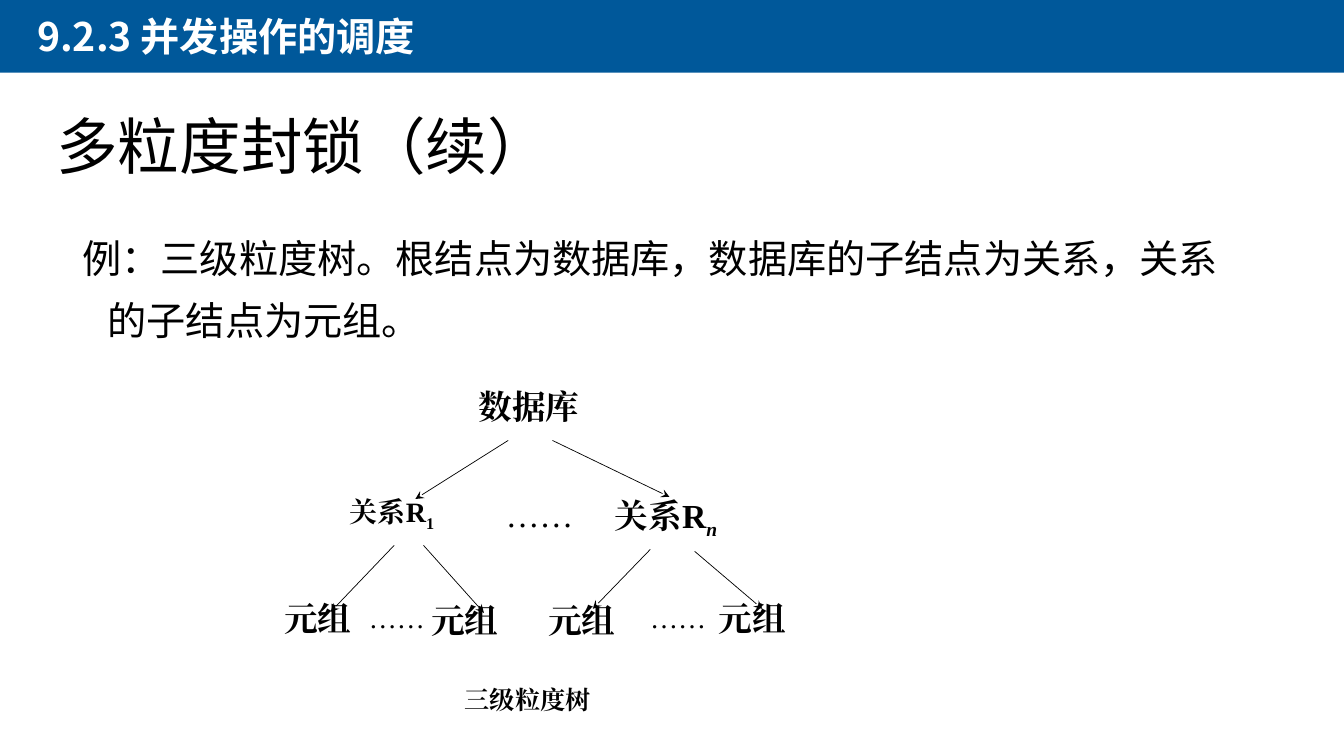
from typing import NamedTuple

from lxml import etree
from pptx import Presentation
from pptx.dml.color import RGBColor
from pptx.enum.shapes import MSO_CONNECTOR, MSO_SHAPE
from pptx.enum.text import MSO_ANCHOR, MSO_AUTO_SIZE, PP_ALIGN
from pptx.oxml.ns import qn
from pptx.slide import Slide
from pptx.util import Inches, Pt

BLUE = RGBColor(0x00, 0x58, 0x9A)
WHITE = RGBColor(0xFF, 0xFF, 0xFF)
BLACK = RGBColor(0x00, 0x00, 0x00)
SANS, BODY, SERIF = "Noto Sans CJK SC", "Calibri", "Times New Roman"
RECT = MSO_SHAPE.RECTANGLE
STRAIGHT = MSO_CONNECTOR.STRAIGHT
TOP, MIDDLE = MSO_ANCHOR.TOP, MSO_ANCHOR.MIDDLE
LEFT, JUSTIFY = PP_ALIGN.LEFT, PP_ALIGN.JUSTIFY
GROW, FIXED = MSO_AUTO_SIZE.SHAPE_TO_FIT_TEXT, MSO_AUTO_SIZE.NONE


class Box(NamedTuple):
    left: float
    top: float
    width: float
    height: float


class Node(NamedTuple):
    text: str
    box: Box
    size: int = 24
    sub: str = ""
    slant: bool = False


class Dots(NamedTuple):
    box: Box
    size: int
    margin: float = 0


class Edge(NamedTuple):
    x1: float
    y1: float
    x2: float
    y2: float


NODES = [
    Node("数据库", Box(4.65, 3.81, 1.44, 0.64)),
    Node("关系R", Box(6, 4.86, 1.46, 0.57), sub="n", slant=True),
    Node("关系R", Box(3.37, 4.86, 1.68, 0.91), size=20, sub="1"),
    Node("元组", Box(2.72, 5.91, 1.14, 0.59)),
    Node("元组", Box(7.03, 5.91, 1.44, 0.66)),
    Node("元组", Box(4.18, 5.93, 1.14, 0.59)),
    Node("元组", Box(5.34, 5.93, 1.14, 0.59)),
]
DOTS = [
    Dots(Box(4.92, 4.88, 1.46, 0.48), 24),
    Dots(Box(6.16, 5.93, 1.46, 0.66), 20, 0.19),
    Dots(Box(3.43, 5.93, 1.46, 0.48), 20, 0.13),
]
EDGES = [
    Edge(5.04, 4.37, 4.12, 4.95),
    Edge(5.48, 4.37, 6.64, 4.93),
    Edge(3.91, 5.41, 3.28, 6.07),
    Edge(4.2, 5.41, 4.8, 6.08),
    Edge(6.45, 5.45, 5.88, 6.04),
    Edge(6.89, 5.47, 7.56, 6.04),
]


def write(slide: Slide, text: str, box: Box, *, size: int, face: str = SERIF,
          color: RGBColor = BLACK, bold: bool = False, align: PP_ALIGN = LEFT,
          space: float = 1, margin: float = 0, indent: float = 0,
          anchor: MSO_ANCHOR = TOP, fill: RGBColor | None = None,
          sub: str = "", slant: bool = False, wrap: bool = True,
          grow: bool = False) -> None:
    """Add a text box, with an optional subscript after the text."""
    shape = slide.shapes.add_textbox(*map(Inches, box))
    if fill is not None:
        shape.fill.solid()
        shape.fill.fore_color.rgb = fill
    frame = shape.text_frame
    frame.word_wrap = wrap
    frame.auto_size = GROW if grow else FIXED
    frame.vertical_anchor = anchor
    para = frame.paragraphs[0]
    para.alignment = align
    para.line_spacing = space
    props = para._p.get_or_add_pPr()
    props.set("marL", str(Inches(margin)))
    props.set("indent", str(Inches(indent)))
    for part in filter(None, (text, sub)):
        run = para.add_run()
        run.text = part
        font = run.font
        font.size, font.name, font.bold = Pt(size), face, bold
        font.color.rgb = color
        style = run._r.get_or_add_rPr()
        etree.SubElement(style, qn("a:ea")).set("typeface", face)
    if sub:
        font.italic = slant
        style.set("baseline", "-25000")


def bar(slide: Slide, box: Box) -> None:
    shape = slide.shapes.add_shape(RECT, *map(Inches, box))
    shape.shadow.inherit = False
    shape.fill.solid()
    shape.fill.fore_color.rgb = BLUE
    shape.line.fill.background()


def arrow(slide: Slide, edge: Edge) -> None:
    line = slide.shapes.add_connector(STRAIGHT, *map(Inches, edge))
    line.line.color.rgb = BLACK
    line.line.width = Pt(0.5)
    etree.SubElement(line.line._get_or_add_ln(), qn("a:tailEnd")).set("type", "stealth")
    etree.SubElement(line._element.spPr, qn("a:effectLst"))


def main() -> None:
    deck = Presentation()
    deck.slide_width, deck.slide_height = Inches(13.33), Inches(7.5)
    slide = deck.slides.add_slide(deck.slide_layouts[6])

    bar(slide, Box(0, -0.02, 13.33, 0.74))
    write(slide, "9.2.3 并发操作的调度", Box(0.27, 0.07, 5.53, 0.57), size=28,
          face=SANS, color=WHITE, bold=True, grow=True)
    write(slide, "多粒度封锁（续）", Box(0.46, 0.86, 9, 1.25), size=44,
          face=BODY, space=0.9, anchor=MIDDLE, fill=WHITE)
    write(slide, "例：三级粒度树。根结点为数据库，数据库的子结点为关系，关系的子结点为元组。",
          Box(0.72, 2.14, 11.76, 5.36), size=28, face=BODY, space=1.3,
          margin=0.25, indent=-0.25, fill=WHITE)

    for edge in EDGES:
        arrow(slide, edge)
    for node in NODES:
        write(slide, node.text, node.box, size=node.size, bold=True,
              space=0.96, sub=node.sub, slant=node.slant)
    for dots in DOTS:
        write(slide, "……", dots.box, size=dots.size, align=JUSTIFY,
              space=0.96, margin=dots.margin)
    write(slide, "三级粒度树", Box(4.51, 6.74, 1.46, 0.4), size=18, bold=True,
          margin=0.38, indent=-0.38, wrap=False, grow=True)

    deck.save("out.pptx")


if __name__ == "__main__":
    main()
